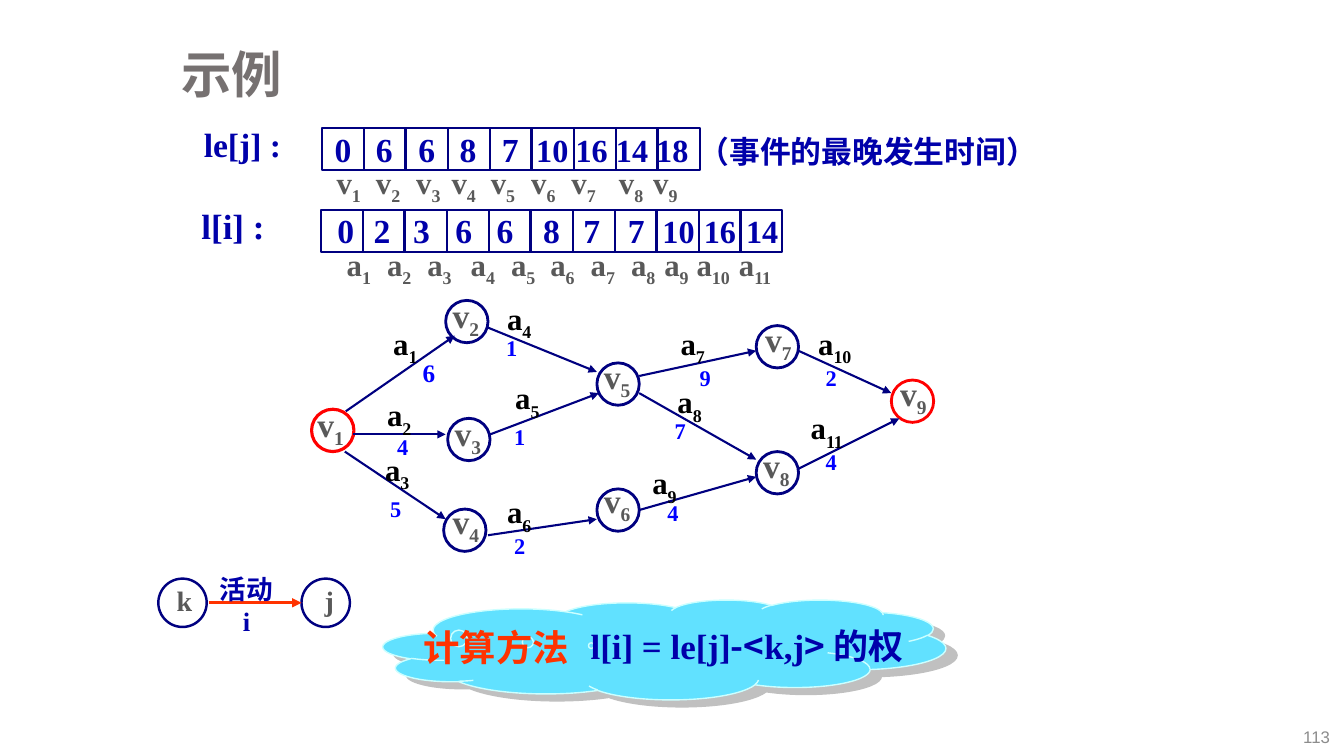
import pptx
import pptx.dml.color
import pptx.enum.shapes
import pptx.enum.text
import pptx.oxml.ns
import pptx.util
from lxml import etree

PX = 9144
SERIF, CJK = "Times New Roman", "Noto Sans CJK SC"
NAVY, BLUE, GREY, RED, ORANGE = "000080", "0000AA", "595959", "FF0000", "FF3300"
SHAPES = pptx.enum.shapes.MSO_SHAPE
LEFT, CENTER, RIGHT = (getattr(pptx.enum.text.PP_ALIGN, a) for a in ("LEFT", "CENTER", "RIGHT"))
MIDDLE = pptx.enum.text.MSO_ANCHOR.MIDDLE

NODES = [
    (309, 406, 304, 396), (442, 298, 438, 288), (444, 415, 440, 405),
    (440, 505, 438, 492), (592, 360, 588, 348), (592, 485, 588, 471),
    (750, 323, 748, 311), (750, 448, 746, 436), (884, 377, 882, 365),
]
EDGES = [
    ((343, 408, 451, 333), (379, 317), "6", (409, 350)),
    ((350, 431, 442, 431), (373, 388), "4", (384, 425)),
    ((342, 448, 442, 515), (371, 442), "5", (377, 486)),
    ((484, 325, 592, 369), (492, 292), "1", (492, 327)),
    ((486, 431, 594, 390), (500, 371), "1", (500, 415)),
    ((484, 531, 592, 515), (492, 484), "2", (500, 523)),
    ((634, 373, 750, 348), (664, 317), "9", (684, 356)),
    ((634, 390, 750, 456), (661, 375), "7", (659, 409)),
    ((634, 506, 750, 473), (636, 455), "4", (652, 490)),
    ((792, 348, 884, 390), (800, 317), "2", (809, 356)),
    ((792, 465, 892, 415), (792, 401), "4", (809, 440)),
]
EARLY = ["0", "6", "6", "8", "7", "10", "16", "14", "18"]
EARLY_X = [332, 373, 415, 456, 498, 532, 571, 611, 651]
EVENT_X = [334, 373, 413, 448, 487, 527, 567, 614, 648]
ACTIVITY_X = [344, 384, 424, 467, 507, 546, 586, 626, 659, 691, 733]
LATE = [("0", 343), ("2", 379), ("3", 418), ("6", 460), ("6", 501), ("8", 547),
        ("7", 587), ("7", 631), ("10", 673), ("16", 714), ("14", 756)]


def px(n):
    """Turn px into EMU."""
    return pptx.util.Emu(round(n * PX))


def rgb(value):
    """Turn a hex string into a colour."""
    return pptx.dml.color.RGBColor.from_string(value)


def add_xml(parent, tag, **attrs):
    """Append a DrawingML element."""
    return etree.SubElement(parent, pptx.oxml.ns.qn("a:" + tag), attrs)


def add_shadow(parent, color, dist, angle):
    """Append a hard offset shadow."""
    effects = add_xml(parent, "effectLst")
    shadow = add_xml(effects, "outerShdw", blurRad="0", dist=str(dist), dir=str(angle * 60000),
                     algn="ctr", rotWithShape="0")
    add_xml(shadow, "srgbClr", val=color)
    return effects


def style_run(r, size, color, font, bold=True, baseline=0):
    """Format one run, with a CJK font for Chinese characters."""
    r.font.size = pptx.util.Pt(size)
    r.font.bold = bold
    r.font.color.rgb = rgb(color)
    r.font.name = font
    rpr = r._r.get_or_add_rPr()
    add_xml(rpr, "ea", typeface=CJK)
    if baseline:
        rpr.set("baseline", str(baseline * 1000))


def add_text(s, x, y, w, h, text, size, color, align=CENTER, font=SERIF, bold=True, anchor=None):
    """Add a text box of one run and return its paragraph."""
    tf = s.shapes.add_textbox(px(x), px(y), px(w), px(h)).text_frame
    tf.word_wrap = False
    if anchor is not None:
        tf.vertical_anchor = anchor
    p = tf.paragraphs[0]
    p.text = text
    p.alignment = align
    style_run(p.runs[0], size, color, font, bold)
    return p


def add_run(p, text, size, color, font=SERIF, baseline=0):
    """Append a run to a paragraph."""
    r = p.add_run()
    r.text = text
    style_run(r, size, color, font, baseline=baseline)


def add_indexed(s, x, y, w, letter, index, size, color, drop):
    """Add a letter with a subscript."""
    p = add_text(s, x, y, w, 48, letter, size, color)
    add_run(p, str(index), size, color, baseline=drop)


def set_tabs(p, stops):
    """Put left tabs at px places, counted from the first one."""
    tabs = add_xml(p._p.get_or_add_pPr(), "tabLst")
    for stop in stops[1:]:
        add_xml(tabs, "tab", pos=str(px(stop - stops[0])), algn="l")


def add_index_row(s, y, letter, stops):
    """Add a tabbed row of subscripted letters."""
    p = add_text(s, stops[0] - 10, y, stops[-1] - stops[0] + 60, 47, letter, 22, GREY, LEFT)
    set_tabs(p, stops)
    for i in range(1, len(stops) + 1):
        if i > 1:
            add_run(p, "\t" + letter, 22, GREY)
        add_run(p, str(i), 22, GREY, baseline=-25)


def add_outline(s, kind, x, y, size, color, weight):
    """Add a hollow square or circle."""
    sp = s.shapes.add_shape(kind, px(x), px(y), px(size), px(size))
    sp.shadow.inherit = False
    sp.fill.background()
    sp.line.color.rgb = rgb(color)
    sp.line.width = pptx.util.Pt(weight)


def add_arrow(s, ends, color=NAVY, weight=1.5):
    """Add a straight arrow."""
    c = s.shapes.add_connector(pptx.enum.shapes.MSO_CONNECTOR.STRAIGHT, *map(px, ends))
    c.line.color.rgb = rgb(color)
    c.line.width = pptx.util.Pt(weight)
    add_xml(c.line._get_or_add_ln(), "tailEnd", type="triangle")
    add_xml(c._element.spPr, "effectLst")


def add_cells(s, x, y, count):
    """Add a row of touching squares."""
    for i in range(count):
        add_outline(s, SHAPES.RECTANGLE, x + round(i * 41.65), y, 42, NAVY, 1.5)


def add_arrays(s):
    """Draw both arrays with their values and indices."""
    add_text(s, 192, 118, 97, 50, "le[j] :", 24, BLUE)
    add_cells(s, 319, 127, len(EARLY))
    p = add_text(s, 322, 123, 372, 50, "\t".join(EARLY[:5]) + "\t", 24, BLUE, LEFT)
    set_tabs(p, EARLY_X)
    add_run(p, "\t".join(EARLY[5:]), 23, BLUE)
    add_index_row(s, 158, "v", EVENT_X)
    add_text(s, 683, 127, 358, 47, "（事件的最晚发生时间）", 22, BLUE, LEFT)
    add_text(s, 190, 198, 83, 52, "l[i] :", 25, BLUE, LEFT)
    add_cells(s, 318, 208, len(LATE))
    for value, middle in LATE:
        small = len(value) > 1
        add_text(s, middle - 26, 205 if small else 203, 52, 50, value, 23 if small else 24, BLUE)
    add_index_row(s, 239, "a", ACTIVITY_X)


def add_network(s):
    """Draw the activity network."""
    for i, (x, y, tx, ty) in enumerate(NODES, 1):
        color = RED if i in (1, len(NODES)) else NAVY
        add_outline(s, SHAPES.OVAL, x, y, 42, color, 2.25 if i == 1 else 2)
        add_indexed(s, tx, ty, 48, "v", i, 24, GREY, -24)
    for i, (ends, label, weight, spot) in enumerate(EDGES, 1):
        add_arrow(s, ends)
        add_indexed(s, *label, 56 if i > 9 else 46, "a", i, 22, "000000", -28)
        first = i == 1
        add_text(s, *spot, 33 if first else 31, 37, weight, 18 if first else 16, "0000FF")


def add_legend(s):
    """Draw the activity between events k and j."""
    for x, name, tx, w in ((157, "k", 165, 36), (299, "j", 312, 29)):
        add_outline(s, SHAPES.OVAL, x, 574, 48, NAVY, 1.75)
        add_text(s, tx, 574, w, 43, name, 20, GREY)
    add_arrow(s, (207, 598, 299, 598), ORANGE, 2.25)
    add_text(s, 204, 563, 81, 35, "活动", 19, BLUE, font=CJK)
    add_text(s, 204, 595, 81, 35, "i", 19, BLUE)


def add_formula(s):
    """Draw the cloud with the formula."""
    sp = s.shapes.add_shape(SHAPES.CLOUD_CALLOUT, px(380), px(595), px(558), px(99))
    sp.adjustments[0], sp.adjustments[1] = -0.13, -0.04
    sp.fill.solid()
    sp.fill.fore_color.rgb = rgb("61E1FF")
    sp.line.color.rgb = rgb("CCFFFF")
    sp.line.width = pptx.util.Pt(1)
    add_shadow(sp._element.spPr, "C0C0C0", 119400, 32)
    p = add_text(s, 410, 615, 212, 53, "计算方法", 26, ORANGE, LEFT)
    rpr = p.runs[0]._r.get_or_add_rPr()
    rpr.insert(1, add_shadow(rpr, "000000", 17960, 45))
    p = add_text(s, 576, 615, 456, 52, "l[i] = le[j]", 25, BLUE, LEFT)
    for text, font in (("-<", CJK), ("k,j", SERIF), (">", CJK), (" 的权", SERIF)):
        add_run(p, text, 25, BLUE, font)


def main():
    """Build the slide and save it."""
    prs = pptx.Presentation()
    prs.slide_width, prs.slide_height = px(1333), px(750)
    s = prs.slides.add_slide(prs.slide_layouts[6])
    p = add_text(s, 170, 34, 1125, 85, "示例", 36, "767171", LEFT, "Arial", anchor=MIDDLE)
    p.line_spacing = 0.9
    add_text(s, 1282, 712, 47, 38, "113", 12, "8C8C8C", RIGHT, "Arial", False, MIDDLE)
    add_legend(s)
    add_formula(s)
    add_arrays(s)
    add_network(s)
    prs.save("out.pptx")


if __name__ == "__main__":
    main()
